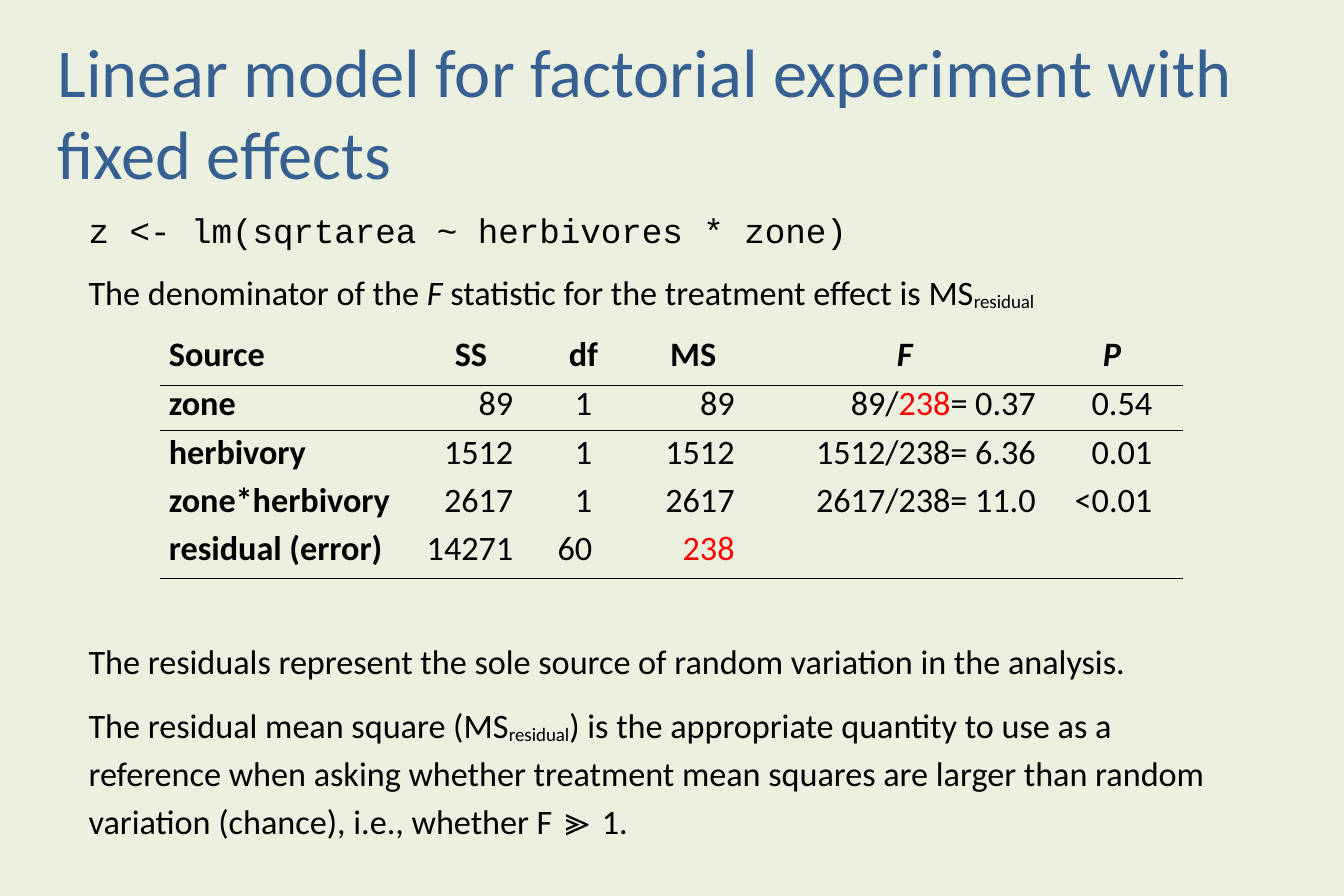
from dataclasses import dataclass

from lxml import etree
from pptx import Presentation
from pptx import util as u
from pptx.dml.color import RGBColor
from pptx.enum import text as t
from pptx.oxml import ns

CREAM = RGBColor(0xEB, 0xF1, 0xDE)
BLUE = RGBColor(0x37, 0x60, 0x92)
BLACK = RGBColor(0, 0, 0)
RED = RGBColor(0xFF, 0, 0)
Cm = u.Cm


@dataclass(frozen=True)
class Bit:
    """A stretch of text with its own look."""
    text: str
    color: RGBColor | None = None
    italic: bool = False
    sub: bool = False
    face: str | None = None


@dataclass(frozen=True)
class Para:
    bits: tuple[Bit, ...]
    face: str = "Calibri"
    size: float = 22
    color: RGBColor = BLACK
    bold: bool = False
    before: float = 0
    line: float | u.Pt | None = None
    align: t.PP_ALIGN = t.PP_ALIGN.LEFT


@dataclass(frozen=True)
class Box:
    left: float
    top: float
    width: float
    height: float
    paras: tuple[Para, ...]


@dataclass(frozen=True)
class Col:
    """Column width, and right margin in the head and body rows."""
    width: float
    head: float
    body: float


@dataclass(frozen=True)
class Row:
    height: float
    cells: tuple[tuple[Bit, ...], ...]
    rule: bool = False
    line: float | None = None


def plain(*words: str) -> tuple[tuple[Bit, ...], ...]:
    return tuple((Bit(word),) for word in words)


MS = (Bit("MS"), Bit("residual", sub=True))

BOXES = (
    Box(1.3, 0.66, 28.35, 3.8, (
        Para((Bit("Linear model for factorial experiment with fixed effects"),),
             size=44, color=BLUE),
    )),
    Box(2.01, 4.75, 22, 2.4, (
        Para((Bit("z <- lm(sqrtarea ~ herbivores * zone)"),), face="Courier New"),
        Para((Bit("The denominator of the "), Bit("F ", italic=True),
              Bit("statistic for the treatment effect is "), *MS), before=13.4),
    )),
    Box(2.01, 14.53, 25.6, 4.6, (
        Para((Bit("The residuals represent the sole source of random variation "
                  "in the analysis."),)),
        Para((Bit("The residual mean square ("), *MS,
              Bit(") is the appropriate quantity to use as a reference when asking "
                  "whether treatment mean squares are larger than random variation "
                  "(chance), i.e., whether F "),
              Bit("≫ ", face="Cambria"), Bit("1.")), before=10.2, line=1.17),
    )),
)

COLS = (Col(5.64, 0, 0), Col(2.87, 0.05, 0.5), Col(2.18, 0, 0.89),
        Col(3.28, 0.48, 0.94), Col(6.32, 0.48, 0.43), Col(2.9, 0.3, 0.69))

ROWS = (
    Row(1.12, (*plain("Source", "SS", "df", "MS"),
               (Bit("F", italic=True),), (Bit("P", italic=True),)), True, 25.4),
    Row(1.02, (*plain("zone", "89", "1", "89"),
               (Bit("89/"), Bit("238", RED), Bit("= 0.37")), *plain("0.54")), True, 25.5),
    Row(1.09, plain("herbivory", "1512", "1", "1512", "1512/238= 6.36", "0.01")),
    Row(1.09, plain("zone*herbivory", "2617", "1", "2617", "2617/238= 11.0", "<0.01")),
    Row(1.17, (*plain("residual (error)", "14271", "60"),
               (Bit("238", RED),), (), ()), True),
)


def write(par, para: Para) -> None:
    par.alignment = para.align
    par.space_before = u.Pt(para.before)
    if para.line:
        par.line_spacing = para.line
    font = par.font
    font.name, font.size, font.bold = para.face, u.Pt(para.size), para.bold
    font.color.rgb = para.color
    for bit in para.bits:
        run = par.add_run()
        run.text = bit.text
        if bit.italic:
            run.font.italic = True
        if bit.face:
            run.font.name = bit.face
        if bit.color is not None:
            run.font.color.rgb = bit.color
        if bit.sub:
            run.font.size = u.Pt(21)
            run._r.get_or_add_rPr().set("baseline", "-8000")


def add_box(slide, box: Box) -> None:
    shape = slide.shapes.add_textbox(
        Cm(box.left), Cm(box.top), Cm(box.width), Cm(box.height))
    frame = shape.text_frame
    frame.word_wrap = True
    frame.margin_left = frame.margin_right = 0
    frame.margin_top = frame.margin_bottom = 0
    for i, para in enumerate(box.paras):
        write(frame.add_paragraph() if i else frame.paragraphs[0], para)


def rule(cell) -> None:
    """Draw a thin line under the cell."""
    line = etree.SubElement(cell._tc.get_or_add_tcPr(), ns.qn("a:lnB"), w="6350")
    fill = etree.SubElement(line, ns.qn("a:solidFill"))
    etree.SubElement(fill, ns.qn("a:srgbClr"), val=str(BLACK))


def add_table(slide) -> None:
    frame = slide.shapes.add_table(
        len(ROWS), len(COLS), Cm(3.63), Cm(7.62),
        Cm(sum(col.width for col in COLS)), Cm(sum(row.height for row in ROWS)))
    table = frame.table
    table.first_row = table.horz_banding = False
    style = table._tbl.tblPr.find(ns.qn("a:tableStyleId"))
    style.text = "{2D5ABB26-0587-4C30-8999-92F81FD0307C}"
    for c, col in enumerate(COLS):
        table.columns[c].width = Cm(col.width)
    for r, row in enumerate(ROWS):
        table.rows[r].height = Cm(row.height)
        for c, (col, bits) in enumerate(zip(COLS, row.cells)):
            cell = table.cell(r, c)
            cell.margin_left = Cm(0 if c else 0.2)
            cell.margin_right = Cm(col.body if r else col.head)
            cell.margin_top = Cm(0 if row.line else 0.03)
            cell.margin_bottom = 0
            if row.rule:
                rule(cell)
            cell.fill.background()
            if c == 0:
                align = t.PP_ALIGN.LEFT
            else:
                align = t.PP_ALIGN.RIGHT if r else t.PP_ALIGN.CENTER
            write(cell.text_frame.paragraphs[0],
                  Para(bits, bold=r == 0 or c == 0, align=align,
                       line=u.Pt(row.line) if row.line else None))


def main() -> None:
    deck = Presentation()
    deck.slide_width, deck.slide_height = Cm(30.48), Cm(20.32)
    slide = deck.slides.add_slide(deck.slide_layouts[6])
    slide.background.fill.solid()
    slide.background.fill.fore_color.rgb = CREAM
    for box in BOXES:
        add_box(slide, box)
    add_table(slide)
    deck.save("out.pptx")


if __name__ == "__main__":
    main()
